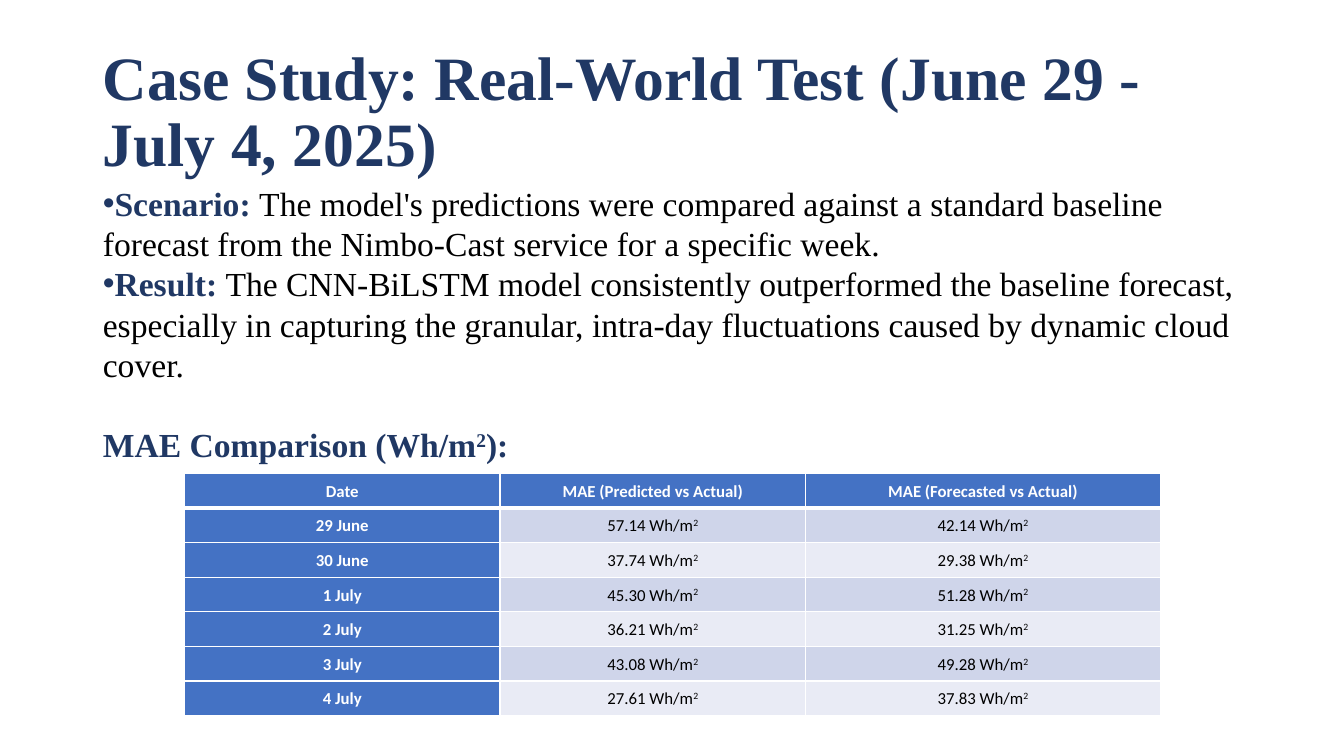
from lxml.etree import SubElement
from pptx import Presentation
from pptx.dml.color import RGBColor
from pptx.enum.text import MSO_ANCHOR, MSO_AUTO_SIZE, PP_ALIGN
from pptx.oxml.ns import qn
from pptx.util import Inches, Pt

NAVY, BLACK, WHITE = "203864", "000000", "FFFFFF"
BLUE, BANDS = "4472C4", ("CFD5EA", "E9EBF5")
HEADINGS = ("Date", "MAE (Predicted vs Actual)", "MAE (Forecasted vs Actual)")
DAILY_ERRORS = (
    ("29 June", "57.14", "42.14"),
    ("30 June", "37.74", "29.38"),
    ("1 July", "45.30", "51.28"),
    ("2 July", "36.21", "31.25"),
    ("3 July", "43.08", "49.28"),
    ("4 July", "27.61", "37.83"),
)
FINDINGS = (
    ("Scenario: ", "The model's predictions were compared against a standard baseline "
     "forecast from the Nimbo-Cast service for a specific week."),
    ("Result: ", "The CNN-BiLSTM model consistently outperformed the baseline forecast, "
     "especially in capturing the granular, intra-day fluctuations caused by dynamic "
     "cloud cover."),
)


def color(hex_string):
    return RGBColor.from_string(hex_string)


class CaseStudySlide:
    heading_font, table_font = "Times New Roman", "Calibri"

    def __init__(self, presentation):
        self.slide = presentation.slides.add_slide(presentation.slide_layouts[1])

    def add_run(self, paragraph, text, font, size, hex_string, bold=False, superscript=False):
        run = paragraph.add_run()
        run.text = text
        run.font.name = font
        run.font.size = Pt(size)
        run.font.bold = bold
        run.font.color.rgb = color(hex_string)
        if superscript:
            run._r.get_or_add_rPr().set("baseline", "30000")

    def place(self, shape, top, height, anchor):
        shape.left, shape.top = Inches(0.92), Inches(top)
        shape.width, shape.height = Inches(11.5), Inches(height)
        frame = shape.text_frame
        frame.word_wrap = True
        frame.auto_size = MSO_AUTO_SIZE.NONE
        frame.vertical_anchor = anchor
        return frame

    def add_title(self, text):
        frame = self.place(self.slide.shapes.title, 0.4, 1.45, MSO_ANCHOR.MIDDLE)
        paragraph = frame.paragraphs[0]
        paragraph.alignment = PP_ALIGN.LEFT
        paragraph.line_spacing = 0.9
        self.add_run(paragraph, text, self.heading_font, 44, NAVY, bold=True)

    def format_body_paragraph(self, paragraph, bullet, space_before=0):
        paragraph.space_before = Pt(space_before)
        properties = paragraph._p.get_or_add_pPr()
        properties.set("marL", "0")
        properties.set("indent", "0")
        if bullet:
            SubElement(properties, qn("a:buChar")).set("char", "•")
        else:
            SubElement(properties, qn("a:buNone"))

    def add_body(self, findings):
        frame = self.place(self.slide.placeholders[1], 1.74, 3.33, MSO_ANCHOR.TOP)
        frame.margin_top = Inches(0.07)
        for index, (label, text) in enumerate(findings):
            paragraph = frame.add_paragraph() if index else frame.paragraphs[0]
            self.format_body_paragraph(paragraph, bullet=True)
            self.add_run(paragraph, label, self.heading_font, 24, NAVY, bold=True)
            self.add_run(paragraph, text, self.heading_font, 24, BLACK)
        caption = frame.add_paragraph()
        self.format_body_paragraph(caption, bullet=False, space_before=28.7)
        for text in ("MAE Comparison (Wh/m", "2", "):"):
            self.add_run(caption, text, self.heading_font, 24, NAVY, True, text == "2")

    def add_borders(self, cell, bottom_width):
        properties = cell._tc.get_or_add_tcPr()
        for side, width in (("L", 1), ("R", 1), ("T", 1), ("B", bottom_width)):
            line = SubElement(properties, qn(f"a:ln{side}"), w=str(Pt(width)))
            fill = SubElement(line, qn("a:solidFill"))
            SubElement(fill, qn("a:srgbClr"), val=WHITE)

    def fill_cell(self, cell, text, fill, heading, bottom_width=1):
        self.add_borders(cell, bottom_width)
        cell.fill.solid()
        cell.fill.fore_color.rgb = color(fill)
        cell.vertical_anchor = MSO_ANCHOR.MIDDLE
        cell.margin_left = cell.margin_right = Inches(0.01)
        cell.margin_top = cell.margin_bottom = Inches(0.01)
        paragraph = cell.text_frame.paragraphs[0]
        paragraph.alignment = PP_ALIGN.CENTER
        paragraph.line_spacing = 1.07
        paragraph.space_after = Pt(8)
        if heading:
            self.add_run(paragraph, text, self.table_font, 12, WHITE, bold=True)
        else:
            self.add_run(paragraph, f"{text} Wh/m", self.table_font, 12, BLACK)
            self.add_run(paragraph, "2", self.table_font, 12, BLACK, superscript=True)

    def add_error_table(self, headings, records):
        rows = (headings, *records)
        frame = self.slide.shapes.add_table(
            len(rows), len(headings), Inches(1.83), Inches(4.7), Inches(9.68), Inches(2.4))
        table = frame.table
        table.first_col = True
        for column, width in zip(table.columns, (3.13, 3.03, 3.52)):
            column.width = Inches(width)
        for row_index, values in enumerate(rows):
            table.rows[row_index].height = Inches(2.4 / len(rows))
            for column_index, text in enumerate(values):
                heading = row_index == 0 or column_index == 0
                fill = BLUE if heading else BANDS[(row_index - 1) % 2]
                self.fill_cell(table.cell(row_index, column_index), text, fill, heading,
                               bottom_width=3 if row_index == 0 else 1)


def main():
    presentation = Presentation()
    presentation.slide_width, presentation.slide_height = Inches(13.33), Inches(7.5)
    case_study = CaseStudySlide(presentation)
    case_study.add_title("Case Study: Real-World Test (June 29 - July 4, 2025)")
    case_study.add_body(FINDINGS)
    case_study.add_error_table(HEADINGS, DAILY_ERRORS)
    presentation.save("out.pptx")


if __name__ == "__main__":
    main()
